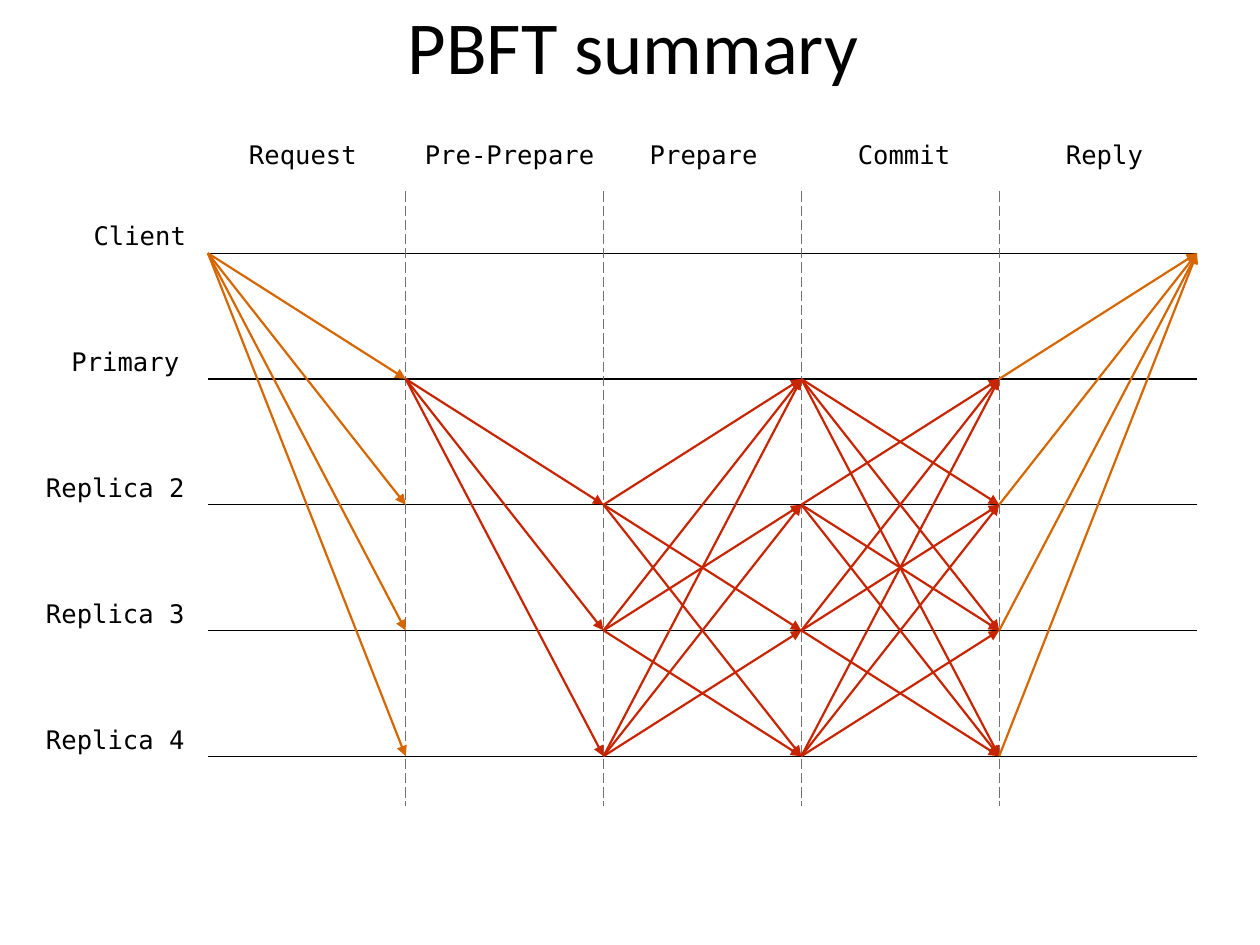
from itertools import product

from lxml import etree
from pptx import Presentation
from pptx.dml.color import RGBColor
from pptx.enum.dml import MSO_LINE
from pptx.enum.shapes import MSO_CONNECTOR
from pptx.enum.text import MSO_ANCHOR, MSO_AUTO_SIZE, PP_ALIGN
from pptx.oxml.ns import qn
from pptx.util import Pt

STRAIGHT = MSO_CONNECTOR.STRAIGHT
LONG_DASH = MSO_LINE.LONG_DASH
CENTER = PP_ALIGN.CENTER
MIDDLE = MSO_ANCHOR.MIDDLE
NO_AUTOFIT = MSO_AUTO_SIZE.NONE

BLACK = RGBColor(0x00, 0x00, 0x00)
GRAY = RGBColor(0x76, 0x71, 0x70)
ORANGE = RGBColor(0xD6, 0x67, 0x00)
RED = RGBColor(0xC8, 0x24, 0x00)

# Time boundaries between phases, and one lifeline per participant
TIMES = [118.8 + 113.04 * i for i in range(6)]
LIFELINES = [144.7 + 71.86 * i for i in range(5)]
CLIENT, PRIMARY = 0, 1
REPLICAS = range(2, 5)
SERVERS = range(1, 5)

# Label, left and width
PARTICIPANTS = [
    ("Client", -2.9, 126.7),
    ("Primary", -38.9, 182.2),
    ("Replica 2", -44.6, 182.2),
    ("Replica 3", -44.6, 182.2),
    ("Replica 4", -44.6, 182.2),
]
# Label and left
PHASES = [
    ("Request", 62.6),
    ("Pre-Prepare", 180.7),
    ("Prepare", 291.6),
    ("Commit", 406.1),
    ("Reply", 520.6),
]


def exchange(senders, receivers):
    return [(a, b) for a, b in product(senders, receivers) if a != b]


# Per phase: colour and (sender, receiver) pairs
MESSAGES = [
    (ORANGE, exchange([CLIENT], SERVERS)),
    (RED, exchange([PRIMARY], REPLICAS)),
    (RED, exchange(REPLICAS, SERVERS)),
    (RED, exchange(SERVERS, SERVERS)),
    (ORANGE, exchange(SERVERS, [CLIENT])),
]


class SequenceSlide:
    title_font, title_size = "Calibri", 42.7
    label_font, label_size = "DejaVu Sans Mono", 14.6

    def __init__(self, presentation):
        self.slide = presentation.slides.add_slide(presentation.slide_layouts[5])

    def title(self, text, left, top, width, height):
        heading = self.slide.shapes.title
        heading.left, heading.top = Pt(left), Pt(top)
        heading.width, heading.height = Pt(width), Pt(height)
        frame = heading.text_frame
        frame.text = text
        frame.auto_size = NO_AUTOFIT
        frame.vertical_anchor = MIDDLE
        self.format(frame.paragraphs[0], self.title_font, self.title_size)

    def label(self, text, left, top, width=182.2, height=43.2):
        frame = self.slide.shapes.add_textbox(
            Pt(left), Pt(top), Pt(width), Pt(height)).text_frame
        frame.word_wrap = True
        frame.margin_left = frame.margin_right = Pt(2.9)
        frame.margin_top = frame.margin_bottom = Pt(2.9)
        frame.text = text
        paragraph = frame.paragraphs[0]
        paragraph.space_before = Pt(8.7)
        properties = paragraph._p.get_or_add_pPr()
        properties.set("marL", str(Pt(61.2)))
        properties.set("indent", str(Pt(-22.3)))
        self.format(paragraph, self.label_font, self.label_size)

    def format(self, paragraph, font, size):
        paragraph.alignment = CENTER
        paragraph.font.name = font
        paragraph.font.size = Pt(size)
        paragraph.font.color.rgb = BLACK

    def line(self, start, end, color=BLACK, weight=0.75, dash=None):
        connector = self.slide.shapes.add_connector(
            STRAIGHT, *(Pt(value) for value in (*start, *end)))
        connector.line.color.rgb = color
        connector.line.width = Pt(weight)
        if dash is not None:
            connector.line.dash_style = dash
        etree.SubElement(connector._element.spPr, qn("a:effectLst"))
        return connector

    def arrow(self, start, end, color):
        connector = self.line(start, end, color, 1.25)
        etree.SubElement(connector.line._get_or_add_ln(),
                         qn("a:tailEnd"), type="triangle")


def main():
    presentation = Presentation()
    presentation.slide_width, presentation.slide_height = Pt(720), Pt(540)
    diagram = SequenceSlide(presentation)
    diagram.title("PBFT summary", 149.8, -7.2, 424.1, 65.5)

    for y in LIFELINES:
        diagram.line((TIMES[0], y), (TIMES[-1], y))
    for (name, left, width), y in zip(PARTICIPANTS, LIFELINES):
        diagram.label(name, left, y - 21.6, width)
    for x in TIMES[1:-1]:
        diagram.line((x, 109.4), (x, 460.8), GRAY, dash=LONG_DASH)
    for name, left in PHASES:
        diagram.label(name, left, 76.3)

    for (color, pairs), sent, received in zip(MESSAGES, TIMES, TIMES[1:]):
        for sender, receiver in pairs:
            diagram.arrow((sent, LIFELINES[sender]),
                          (received, LIFELINES[receiver]), color)

    presentation.save("out.pptx")


if __name__ == "__main__":
    main()
